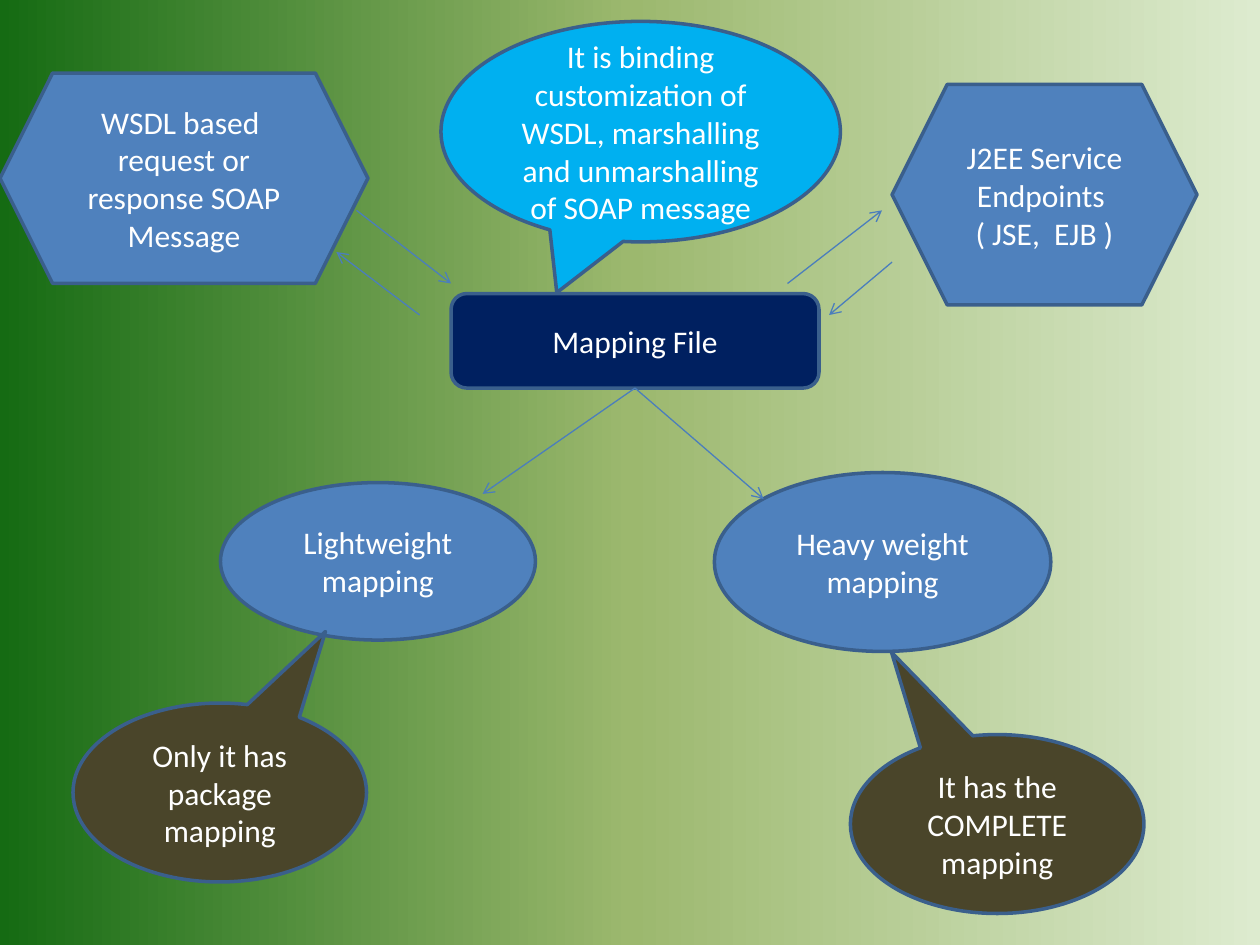
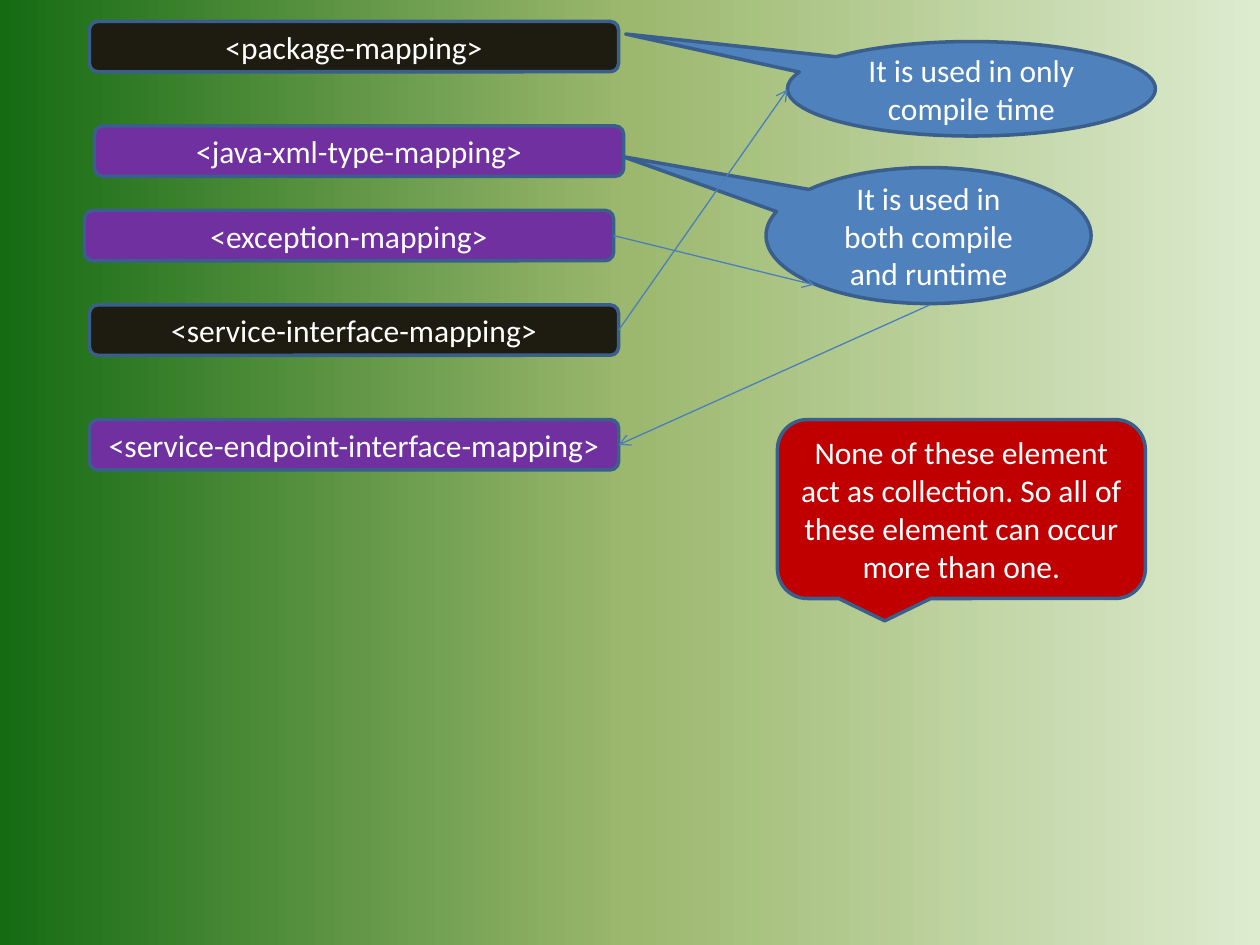
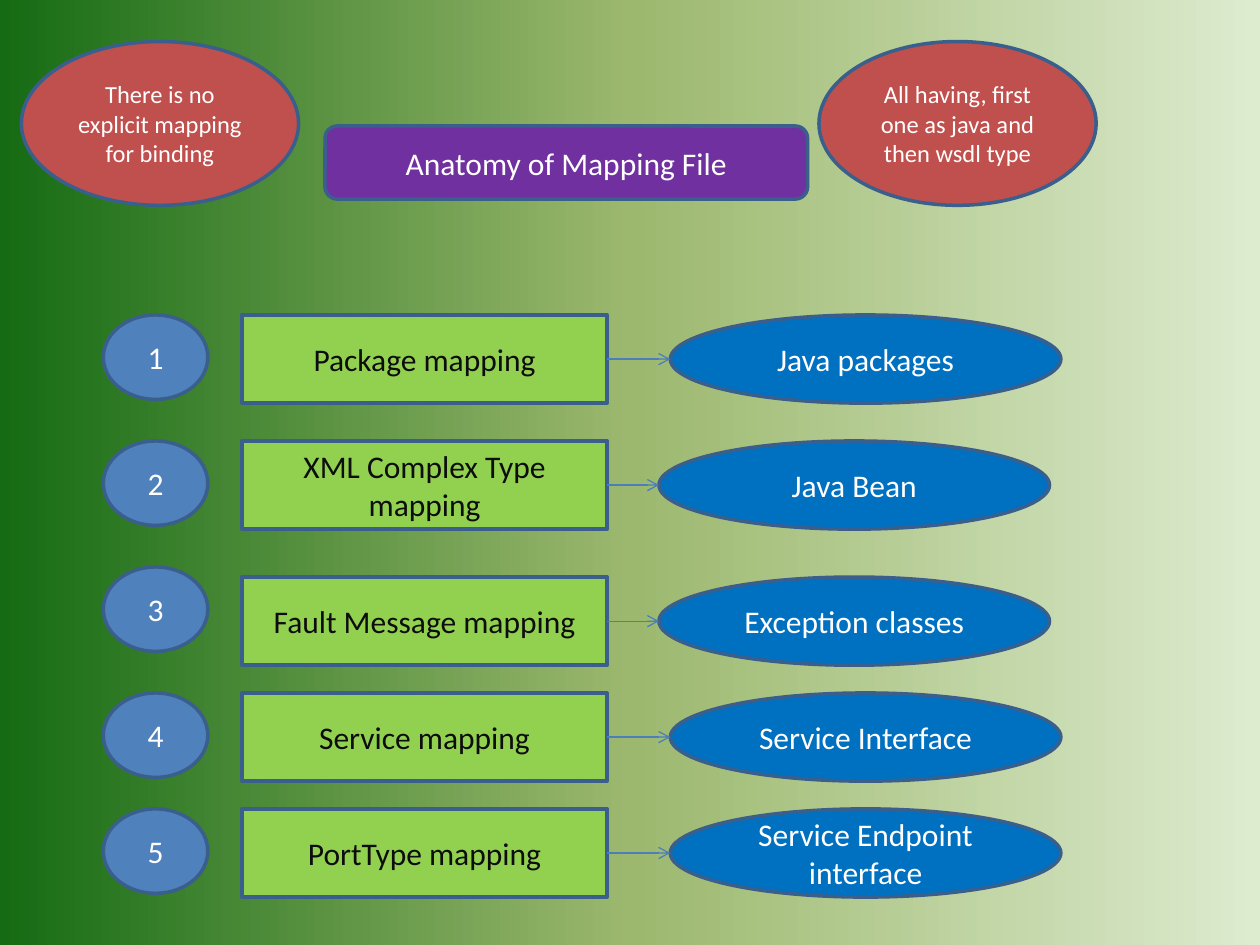
import lxml.etree
import pptx
import pptx.dml.color
import pptx.enum.shapes
import pptx.oxml.ns
import pptx.util

Inches = pptx.util.Inches
Pt = pptx.util.Pt
RGBColor = pptx.dml.color.RGBColor
qn = pptx.oxml.ns.qn
KIND = pptx.enum.shapes.MSO_SHAPE
STRAIGHT = pptx.enum.shapes.MSO_CONNECTOR.STRAIGHT

WHITE = RGBColor(0xFF, 0xFF, 0xFF)
INK = RGBColor(0x0D, 0x0D, 0x0D)
BLUE = RGBColor(0x4F, 0x81, 0xBD)
EDGE = RGBColor(0x3A, 0x5F, 0x8C)
WIRE = RGBColor(0x4B, 0x7E, 0xBC)
NAVY = RGBColor(0x00, 0x20, 0x60)
SKY = RGBColor(0x00, 0xB0, 0xF0)
OCEAN = RGBColor(0x00, 0x70, 0xC0)
OLIVE = RGBColor(0x4A, 0x45, 0x2A)
BLACK = RGBColor(0x1E, 0x1C, 0x11)
PURPLE = RGBColor(0x70, 0x30, 0xA0)
RED = RGBColor(0xC0, 0x00, 0x00)
ROSE = RGBColor(0xC0, 0x50, 0x4D)
LIME = RGBColor(0x92, 0xD0, 0x50)
PALE = RGBColor(0xDD, 0xEB, 0xCF)
MOSS = RGBColor(0x9C, 0xB8, 0x6E)
FOREST = RGBColor(0x15, 0x6B, 0x13)

BODY = {"name": "Calibri", "size": Pt(18)}
SMALL = {"name": "Calibri", "size": Pt(14)}


def draw(slide, kind, box, fill, text, font=BODY, ink=WHITE, tip=()):
    shape = slide.shapes.add_shape(kind, *map(Inches, box))
    shape.shadow.inherit = False
    shape.fill.solid()
    shape.fill.fore_color.rgb = fill
    shape.line.color.rgb = EDGE
    shape.line.width = Pt(2)
    for i, value in enumerate(tip):
        shape.adjustments[i] = value
    para = shape.text_frame.paragraphs[0]
    para.text = text
    for run in para.runs:
        for key, value in font.items():
            setattr(run.font, key, value)
        run.font.color.rgb = ink
    return shape


def point(slide, start, end, first=None, last=None):
    wire = slide.shapes.add_connector(STRAIGHT, *map(Inches, start + end))
    if first:
        wire.begin_connect(*first)
    if last:
        wire.end_connect(*last)
    wire.line.color.rgb = WIRE
    wire.line.width = Pt(0.75)
    props = wire._element.spPr
    lxml.etree.SubElement(props.find(qn("a:ln")), qn("a:tailEnd"), type="arrow")
    lxml.etree.SubElement(props, qn("a:effectLst"))


deck = pptx.Presentation()
deck.slide_width = Inches(10)
deck.slide_height = Inches(7.5)

master = deck.slide_master
back = master.background.fill
back.gradient()
back.gradient_angle = 180
stops = master._element.find(".//" + qn("a:gsLst"))
for stop in list(stops):
    stops.remove(stop)
for place, shade in [(0, PALE), (50, MOSS), (100, FOREST)]:
    stop = lxml.etree.SubElement(stops, qn("a:gs"), pos=str(place * 1000))
    lxml.etree.SubElement(stop, qn("a:srgbClr"), val=str(shade))

flow, tags, table = [deck.slides.add_slide(deck.slide_layouts[6]) for _ in range(3)]

hub = draw(flow, KIND.ROUNDED_RECTANGLE, (3.58, 2.33, 2.92, 0.75), NAVY, "Mapping File")
for kind, box, text in [
    (KIND.HEXAGON, (7.08, 0.67, 2.42, 1.75), "J2EE Service Endpoints \n( JSE,  EJB )"),
    (KIND.HEXAGON, (0, 0.58, 2.92, 1.67), "WSDL based  request or response SOAP Message"),
    (KIND.OVAL, (1.75, 3.83, 2.5, 1.25), "Lightweight mapping"),
    (KIND.OVAL, (5.67, 3.75, 2.67, 1.42), "Heavy weight mapping"),
]:
    draw(flow, kind, box, BLUE, text)
for start, end in [
    ((2.83, 1.67), (3.58, 2.25)),
    ((6.25, 2.25), (7, 1.67)),
    ((3.33, 2.5), (2.67, 2)),
    ((7.08, 2.08), (6.58, 2.5)),
]:
    point(flow, start, end)
for end in [(3.83, 3.92), (6.06, 3.96)]:
    point(flow, (5.04, 3.08), end, first=(hub, 2))
for box, fill, tip, text in [
    ((0.58, 5.58, 2.33, 1.42), OLIVE, (0.36, -0.9), "Only it has package mapping"),
    ((6.75, 5.83, 2.33, 1.42), OLIVE, (-0.36, -0.96), "It has the COMPLETE mapping"),
    ((3.5, 0.17, 3.17, 1.75), SKY, (-0.21, 0.73),
     "It is binding customization of WSDL, marshalling and unmarshalling of SOAP message"),
]:
    draw(flow, KIND.OVAL_CALLOUT, box, fill, text, tip=tip)

bars = []
for left, top, fill, text in [
    (0.71, 0.17, BLACK, "<package-mapping>"),
    (0.75, 1, PURPLE, "<java-xml-type-mapping>"),
    (0.67, 1.67, PURPLE, "<exception-mapping>"),
    (0.71, 2.42, BLACK, "<service-interface-mapping>"),
    (0.71, 3.33, PURPLE, "<service-endpoint-interface-mapping>"),
]:
    bars.append(draw(tags, KIND.ROUNDED_RECTANGLE, (left, top, 4.2, 0.4), fill, text))
for box, text in [
    ((6.08, 1.33, 2.58, 1.08), "It is used in both compile and runtime"),
    ((6.25, 0.33, 2.92, 0.75), "It is used in only compile time"),
]:
    draw(tags, KIND.OVAL_CALLOUT, box, BLUE, text, tip=(-0.94, -0.58))
point(tags, (4.87, 1.87), (6.46, 2.26), first=(bars[2], 3))
point(tags, (7.38, 2.42), (4.91, 3.53), last=(bars[4], 3))
point(tags, (4.91, 2.62), (6.25, 0.71), first=(bars[3], 3))
draw(tags, KIND.ROUNDED_RECTANGULAR_CALLOUT, (6.17, 3.33, 2.92, 1.42), RED,
     "None of these element act as collection. So all of these element can occur more than one.")

draw(table, KIND.ROUNDED_RECTANGLE, (2.58, 1, 3.83, 0.58), PURPLE, "Anatomy of Mapping File")
for left, text in [
    (0.17, "There is no explicit mapping for binding"),
    (6.5, "All having, first one as java and then wsdl type"),
]:
    draw(table, KIND.OVAL, (left, 0.33, 2.2, 1.3), ROSE, text, SMALL)
for count, (disc, top, left, source, target) in enumerate([
    (2.5, 2.5, 5.32, "Package mapping", "Java packages"),
    (3.5, 3.5, 5.23, "XML Complex Type mapping", "Java Bean"),
    (4.5, 4.58, 5.23, "Fault Message mapping", "Exception classes"),
    (5.5, 5.5, 5.32, "Service mapping", "Service Interface"),
    (6.42, 6.42, 5.32, "PortType mapping", "Service Endpoint interface"),
], 1):
    draw(table, KIND.OVAL, (0.82, disc, 0.83, 0.67), BLUE, str(count))
    card = draw(table, KIND.RECTANGLE, (1.92, top, 2.9, 0.7), LIME, source, ink=INK)
    draw(table, KIND.OVAL, (left, top, 3.1, 0.7), OCEAN, target)
    point(table, (4.82, top + 0.35), (left, top + 0.35), first=(card, 3))

deck.save("out.pptx")
